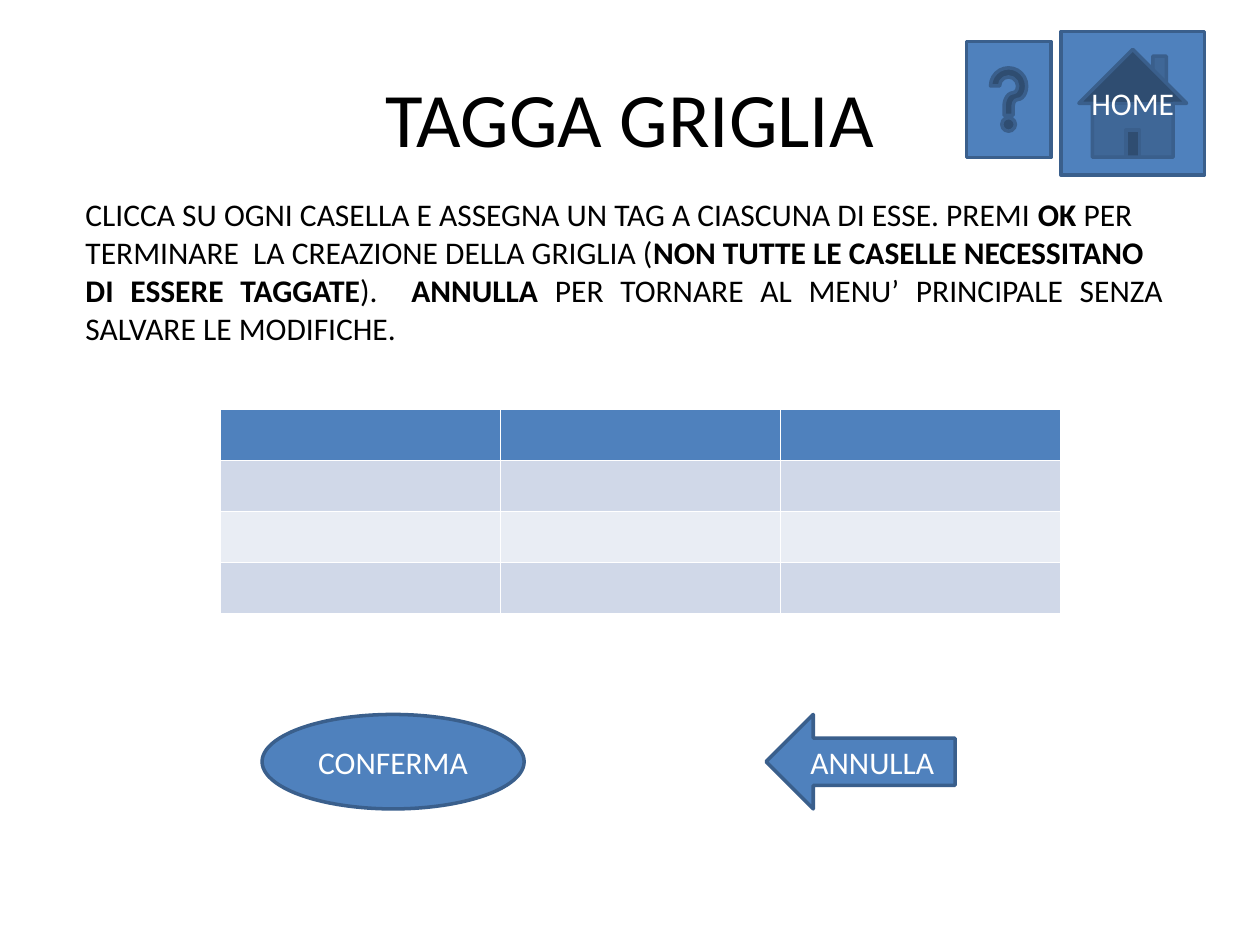
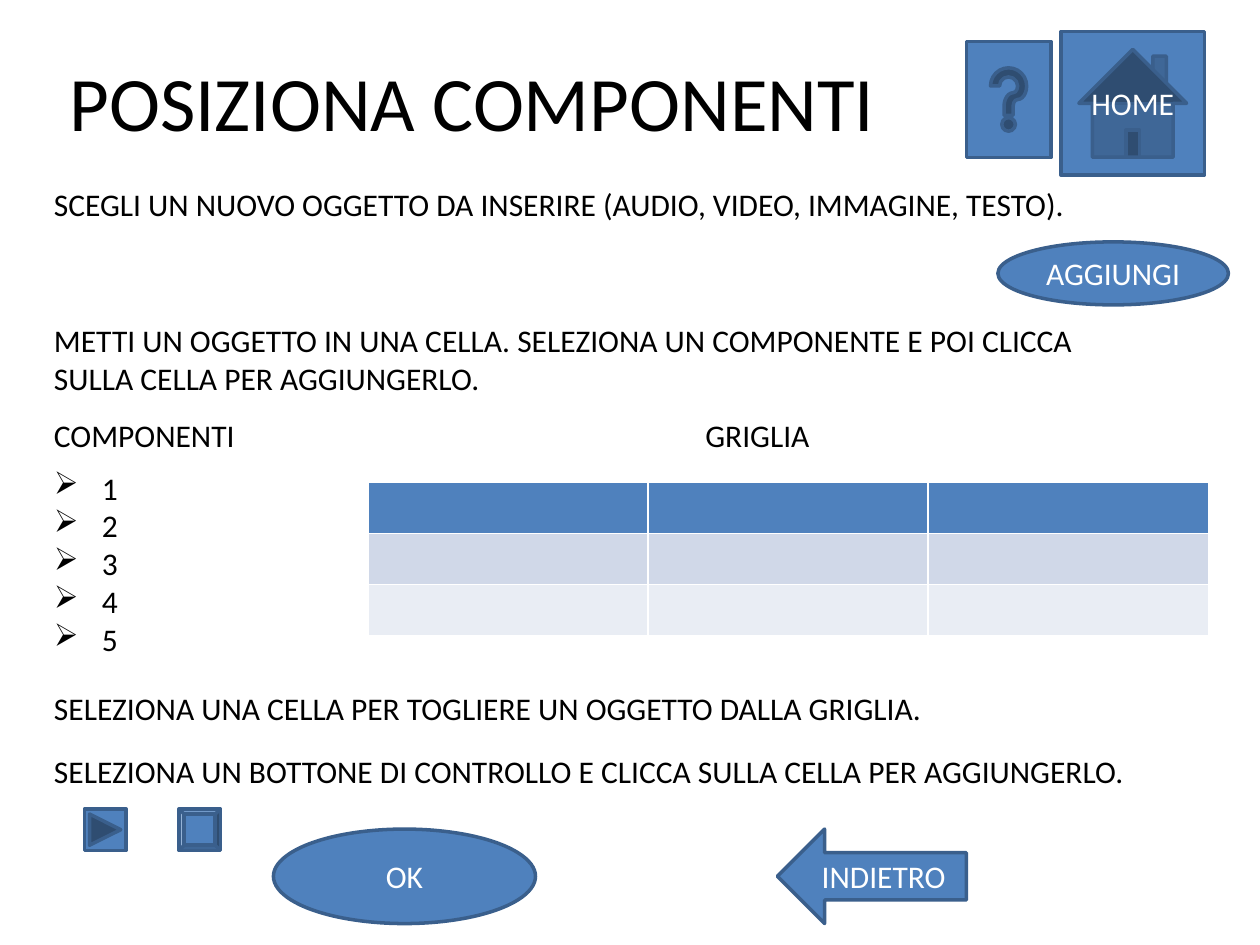
from lxml import etree
from pptx import Presentation
from pptx.dml.color import RGBColor
from pptx.enum.shapes import MSO_SHAPE as Shape
from pptx.enum.text import MSO_ANCHOR as Anchor, PP_ALIGN as Align
from pptx.oxml.ns import qn
from pptx.util import Inches, Pt

BLUE = RGBColor(0x4F, 0x81, 0xBD)
OUTLINE = RGBColor(0x3A, 0x5F, 0x8C)
BAND_DARK = RGBColor(0xD0, 0xD8, 0xE8)
BAND_LIGHT = RGBColor(0xE9, 0xED, 0xF4)
BLACK = RGBColor(0, 0, 0)
WHITE = RGBColor(0xFF, 0xFF, 0xFF)

BODY_FONT = {"name": "Calibri", "size": Pt(18)}
TITLE_FONT = {"name": "Calibri", "size": Pt(44)}
BOLD = {"bold": True}
BULLET = "➢"
BULLET_INDENT = Inches(0.38)

GRID_COLUMNS = 3
GRID_WIDTH = 6.67
ROW_HEIGHT = 0.405
BACK_OFFSET = 4

NAVIGATION = [
    (Shape.ACTION_BUTTON_HOME, (8.42, 0.25, 1.14, 1.14), "HOME"),
    (Shape.ACTION_BUTTON_HELP, (7.67, 0.33, 0.67, 0.92), ""),
]

TAG_INSTRUCTIONS = [
    [("CLICCA SU OGNI CASELLA E ASSEGNA UN TAG A CIASCUNA DI ESSE. PREMI ", {}),
     ("OK", BOLD), (" PER ", {})],
    [("TERMINARE  LA CREAZIONE DELLA GRIGLIA (", {}),
     ("NON TUTTE LE CASELLE NECESSITANO ", BOLD)],
    [("DI ESSERE TAGGATE", BOLD), (").  ", {}), ("ANNULLA ", BOLD),
     ("PER TORNARE AL MENU’ PRINCIPALE SENZA SALVARE LE MODIFICHE.", {})],
]


def plain(*lines):
    return [[(line, {})] for line in lines]


SCREENS = [
    {
        "title": ("TAGGA GRIGLIA", (0.5, 0.3)),
        "texts": [((0.58, 1.5, 8.75, 1.31), TAG_INSTRUCTIONS, {"align": Align.JUSTIFY})],
        "grid": (1.75, 3.25, 4),
        "choices": (2.08, 5.67, "CONFERMA", "ANNULLA"),
        "buttons": [],
    },
    {
        "title": ("POSIZIONA COMPONENTI", (-0.75, 0.17)),
        "texts": [
            ((0.33, 1.42, 8.3, 0.4),
             plain("SCEGLI UN NUOVO OGGETTO DA INSERIRE (AUDIO, VIDEO, IMMAGINE, TESTO)."),
             {"wrap": False}),
            ((0.33, 2.5, 8.92, 0.71),
             plain("METTI UN OGGETTO IN UNA CELLA. SELEZIONA UN COMPONENTE E POI CLICCA "
                   "SULLA CELLA PER AGGIUNGERLO."), {}),
            ((0.33, 3.67, 8.75, 1.62), plain("1", "2", "3", "4", "5"), {"bulleted": True}),
            ((0.33, 3.25, 1.65, 0.4), plain("COMPONENTI"), {"wrap": False}),
            ((5.5, 3.25, 1.04, 0.4), plain("GRIGLIA"), {"wrap": False}),
            ((0.33, 5.42, 7.09, 0.4),
             plain("SELEZIONA UNA CELLA PER TOGLIERE UN OGGETTO DALLA GRIGLIA."),
             {"wrap": False}),
            ((0.33, 5.92, 8.78, 0.4),
             plain("SELEZIONA UN BOTTONE DI CONTROLLO E CLICCA SULLA CELLA PER AGGIUNGERLO."),
             {"wrap": False}),
        ],
        "grid": (2.92, 3.83, 3),
        "choices": (2.17, 6.58, "OK", "INDIETRO"),
        "buttons": [
            (Shape.ACTION_BUTTON_FORWARD_OR_NEXT, (0.67, 6.42, 0.33, 0.33), ""),
            (Shape.BEVEL, (1.42, 6.42, 0.33, 0.33), ""),
            (Shape.OVAL, (7.92, 1.92, 1.83, 0.5), "AGGIUNGI"),
        ],
    },
]


def inches(box):
    return [Inches(length) for length in box]


def format_font(font, values, color):
    for name, value in values.items():
        setattr(font, name, value)
    font.color.rgb = color


def add_bullet(paragraph):
    properties = paragraph._p.get_or_add_pPr()
    properties.set("marL", str(BULLET_INDENT))
    properties.set("indent", str(-BULLET_INDENT))
    etree.SubElement(properties, qn("a:buChar")).set("char", BULLET)


def add_text(slide, box, lines, font=BODY_FONT, align=Align.LEFT,
             anchor=Anchor.TOP, wrap=True, bulleted=False):
    frame = slide.shapes.add_textbox(*inches(box)).text_frame
    frame.word_wrap = wrap
    frame.vertical_anchor = anchor
    for index, line in enumerate(lines):
        paragraph = frame.add_paragraph() if index else frame.paragraphs[0]
        paragraph.alignment = align
        if bulleted:
            add_bullet(paragraph)
        for words, emphasis in line:
            run = paragraph.add_run()
            run.text = words
            format_font(run.font, {**font, **emphasis}, BLACK)


def add_button(slide, kind, box, label):
    button = slide.shapes.add_shape(kind, *inches(box))
    button.shadow.inherit = False
    button.fill.solid()
    button.fill.fore_color.rgb = BLUE
    button.line.color.rgb = OUTLINE
    button.line.width = Pt(2)
    if label:
        button.text_frame.vertical_anchor = Anchor.MIDDLE
        paragraph = button.text_frame.paragraphs[0]
        paragraph.alignment = Align.CENTER
        run = paragraph.add_run()
        run.text = label
        format_font(run.font, BODY_FONT, WHITE)


def add_grid(slide, left, top, rows):
    box = inches((left, top, GRID_WIDTH, ROW_HEIGHT * rows))
    grid = slide.shapes.add_table(rows, GRID_COLUMNS, *box).table
    for index, row in enumerate(grid.rows):
        color = (BAND_DARK if index % 2 else BAND_LIGHT) if index else BLUE
        for cell in row.cells:
            cell.fill.solid()
            cell.fill.fore_color.rgb = color


def add_screen(deck, screen):
    slide = deck.slides.add_slide(deck.slide_layouts[6])
    title, corner = screen["title"]
    add_text(slide, (*corner, 9, 1.25), plain(title), TITLE_FONT, Align.CENTER, Anchor.MIDDLE)
    for box, lines, options in screen["texts"]:
        add_text(slide, box, lines, **options)
    add_grid(slide, *screen["grid"])
    left, top, confirm, back = screen["choices"]
    choices = [
        (Shape.LEFT_ARROW, (left + BACK_OFFSET, top, 1.5, 0.75), back),
        (Shape.OVAL, (left, top, 2.08, 0.75), confirm),
    ]
    for button in choices + screen["buttons"] + NAVIGATION:
        add_button(slide, *button)


def main():
    deck = Presentation()
    deck.slide_width, deck.slide_height = Inches(10), Inches(7.5)
    for screen in SCREENS:
        add_screen(deck, screen)
    deck.save("out.pptx")


if __name__ == "__main__":
    main()
